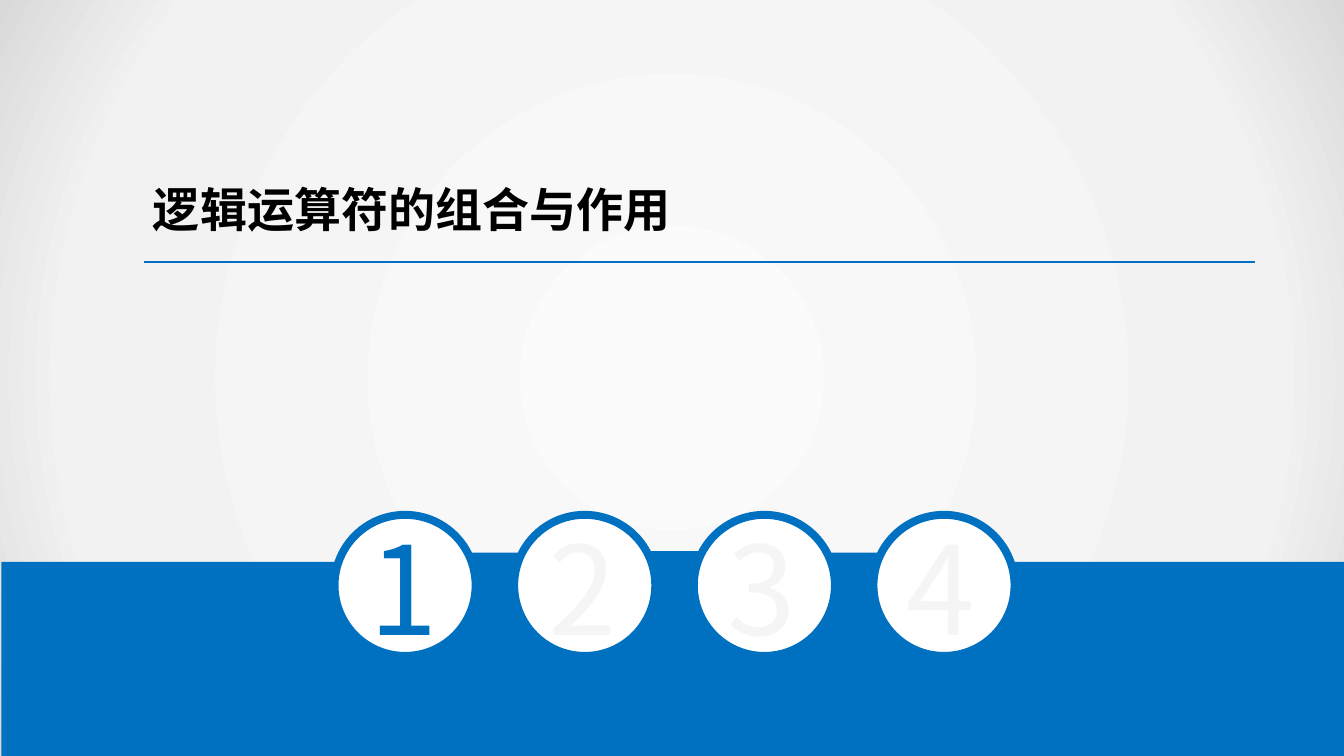
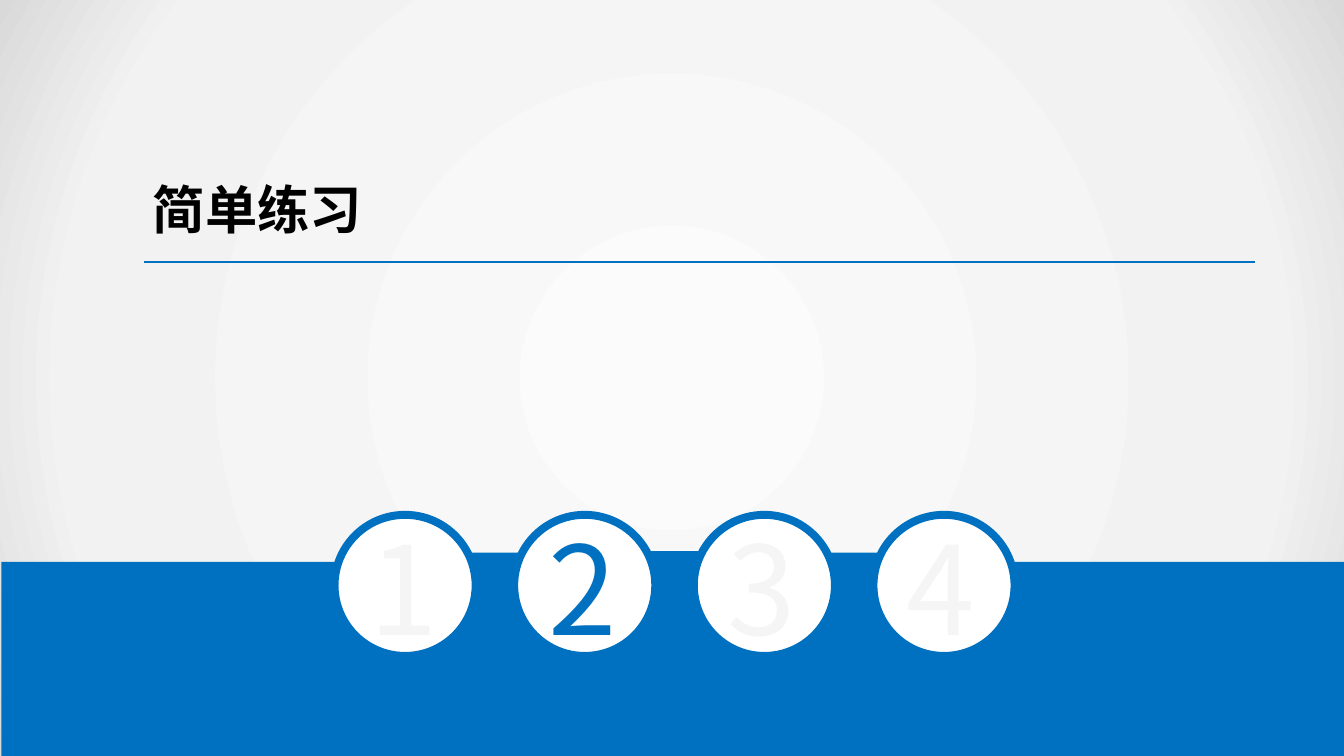
from dataclasses import dataclass
from math import cos, pi, sin
from typing import Optional

from lxml.etree import SubElement
from pptx import Presentation
from pptx.dml.color import RGBColor
from pptx.enum.shapes import MSO_CONNECTOR, MSO_SHAPE
from pptx.enum.text import MSO_ANCHOR, MSO_AUTO_SIZE
from pptx.oxml import parse_xml
from pptx.oxml.ns import nsdecls, qn
from pptx.shapes.autoshape import Shape
from pptx.slide import Slide
from pptx.util import Pt

WIDTH, HEIGHT = 720, 405
FONT = "Noto Sans CJK SC"
BLUE, WHITE, BLACK = "0070C0", "FFFFFF", "000000"
PALE, BACKDROP = "F5F5F5", "F2F2F2"
GLOW_STOPS = ((0, "FBFBFB"), (79, BACKDROP), (100, "D9D9D9"))

STEP_COUNT = 4
CIRCLE_LEFT, CIRCLE_TOP, CIRCLE_SIZE, CIRCLE_PITCH = 179.2, 275.8, 75.6, 96.24
DIGIT_LEFT, DIGIT_TOP, DIGIT_PITCH = 190.8, 270.7, 96
BAND_LEFT, BAND_TOP = 0.72, 301
NOTCH_CENTRE, NOTCH_RADIUS = 265.4, 12
TITLE_LEFT, RULE_RIGHT, RULE_Y = 77, 672.5, 140.4


@dataclass(frozen=True)
class Section:
    number: int
    title: str
    size: float


@dataclass(frozen=True)
class Bridge:
    left: float
    height: float
    outline: Optional[float] = None


SECTIONS = (Section(1, "逻辑运算符的组合与作用", 25.2), Section(2, "简单练习", 28))
BRIDGES = (Bridge(347, 28, 2), Bridge(437.8, 29.5), Bridge(249.1, 29.5))


def colour(value: str) -> RGBColor:
    return RGBColor.from_string(value)


def style(shape: Shape, fill: str, outline: Optional[float] = None) -> None:
    shape.shadow.inherit = False
    shape.fill.solid()
    shape.fill.fore_color.rgb = colour(fill)
    if outline is None:
        shape.line.fill.background()
    else:
        shape.line.color.rgb = colour(BLUE)
        shape.line.width = Pt(outline)


def add_block(slide: Slide, kind: MSO_SHAPE, left: float, top: float, width: float,
              height: float, fill: str, outline: Optional[float] = None) -> Shape:
    block = slide.shapes.add_shape(kind, Pt(left), Pt(top), Pt(width), Pt(height))
    style(block, fill, outline)
    return block


def add_text(slide: Slide, text: str, *, left: float, top: float, width: float,
             height: float, size: float, color: str, bold: bool = False,
             wrap: bool = True, anchor: MSO_ANCHOR = MSO_ANCHOR.TOP,
             margins: tuple[float, float] = (7.2, 3.6)) -> None:
    box = slide.shapes.add_textbox(Pt(left), Pt(top), Pt(width), Pt(height))
    frame = box.text_frame
    frame.word_wrap = wrap
    frame.auto_size = MSO_AUTO_SIZE.NONE if wrap else MSO_AUTO_SIZE.SHAPE_TO_FIT_TEXT
    frame.vertical_anchor = anchor
    frame.margin_left = frame.margin_right = Pt(margins[0])
    frame.margin_top = frame.margin_bottom = Pt(margins[1])
    run = frame.paragraphs[0].add_run()
    run.text = text
    run.font.size = Pt(size)
    run.font.bold = bold
    run.font.color.rgb = colour(color)
    run.font.name = FONT
    SubElement(run._r.get_or_add_rPr(), qn("a:ea"), typeface=FONT)


def add_backdrop(slide: Slide) -> None:
    slide.background.fill.solid()
    slide.background.fill.fore_color.rgb = colour(BACKDROP)
    glow = add_block(slide, MSO_SHAPE.RECTANGLE, 0, 0, WIDTH, HEIGHT, BACKDROP)
    stops = "".join(
        f'<a:gs pos="{position * 1000}"><a:srgbClr val="{value}"/></a:gs>'
        for position, value in GLOW_STOPS
    )
    gradient = parse_xml(
        f'<a:gradFill {nsdecls("a")} rotWithShape="1"><a:gsLst>{stops}</a:gsLst>'
        '<a:path path="circle"><a:fillToRect l="50000" t="50000" r="50000" b="50000"/>'
        "</a:path></a:gradFill>"
    )
    properties = glow._element.spPr
    properties.replace(properties.find(qn("a:solidFill")), gradient)


def add_band(slide: Slide) -> None:
    for bridge in BRIDGES:
        add_block(slide, MSO_SHAPE.RECTANGLE, bridge.left, 296, 33.8, bridge.height,
                  BLUE, bridge.outline)
    outline = []
    for index in range(STEP_COUNT - 1):
        centre = NOTCH_CENTRE + index * CIRCLE_PITCH
        for step in range(13):
            angle = pi * step / 12
            outline.append((centre - NOTCH_RADIUS * cos(angle),
                            BAND_TOP + NOTCH_RADIUS * sin(angle)))
    right = BAND_LEFT + WIDTH
    outline += [(right, BAND_TOP), (right, HEIGHT), (BAND_LEFT, HEIGHT)]
    builder = slide.shapes.build_freeform(Pt(BAND_LEFT), Pt(BAND_TOP))
    builder.add_line_segments([(Pt(x), Pt(y)) for x, y in outline])
    style(builder.convert_to_shape(), BLUE)


def add_rule(slide: Slide) -> None:
    rule = slide.shapes.add_connector(MSO_CONNECTOR.STRAIGHT, Pt(TITLE_LEFT), Pt(RULE_Y),
                                      Pt(RULE_RIGHT), Pt(RULE_Y))
    rule.line.color.rgb = colour(BLUE)
    rule.line.width = Pt(1.25)
    SubElement(rule._element.spPr, qn("a:effectLst"))


def add_steps(slide: Slide, current: int) -> None:
    for index in range(STEP_COUNT):
        add_block(slide, MSO_SHAPE.OVAL, CIRCLE_LEFT + index * CIRCLE_PITCH, CIRCLE_TOP,
                  CIRCLE_SIZE, CIRCLE_SIZE, WHITE, 4.25)
    for index in range(STEP_COUNT):
        number = index + 1
        add_text(slide, str(number), left=DIGIT_LEFT + index * DIGIT_PITCH, top=DIGIT_TOP,
                 width=50.4, height=87, size=66, wrap=False,
                 color=BLUE if number == current else PALE)


def add_section(deck: Presentation, section: Section) -> None:
    slide = deck.slides.add_slide(deck.slide_layouts[6])
    add_backdrop(slide)
    add_band(slide)
    add_text(slide, section.title, left=TITLE_LEFT, top=83.5, width=305.3, height=56.9,
             size=section.size, color=BLACK, bold=True, anchor=MSO_ANCHOR.MIDDLE,
             margins=(5, 2.9))
    add_rule(slide)
    add_steps(slide, section.number)


def main() -> None:
    deck = Presentation()
    deck.slide_width, deck.slide_height = Pt(WIDTH), Pt(HEIGHT)
    for section in SECTIONS:
        add_section(deck, section)
    deck.save("out.pptx")


if __name__ == "__main__":
    main()
